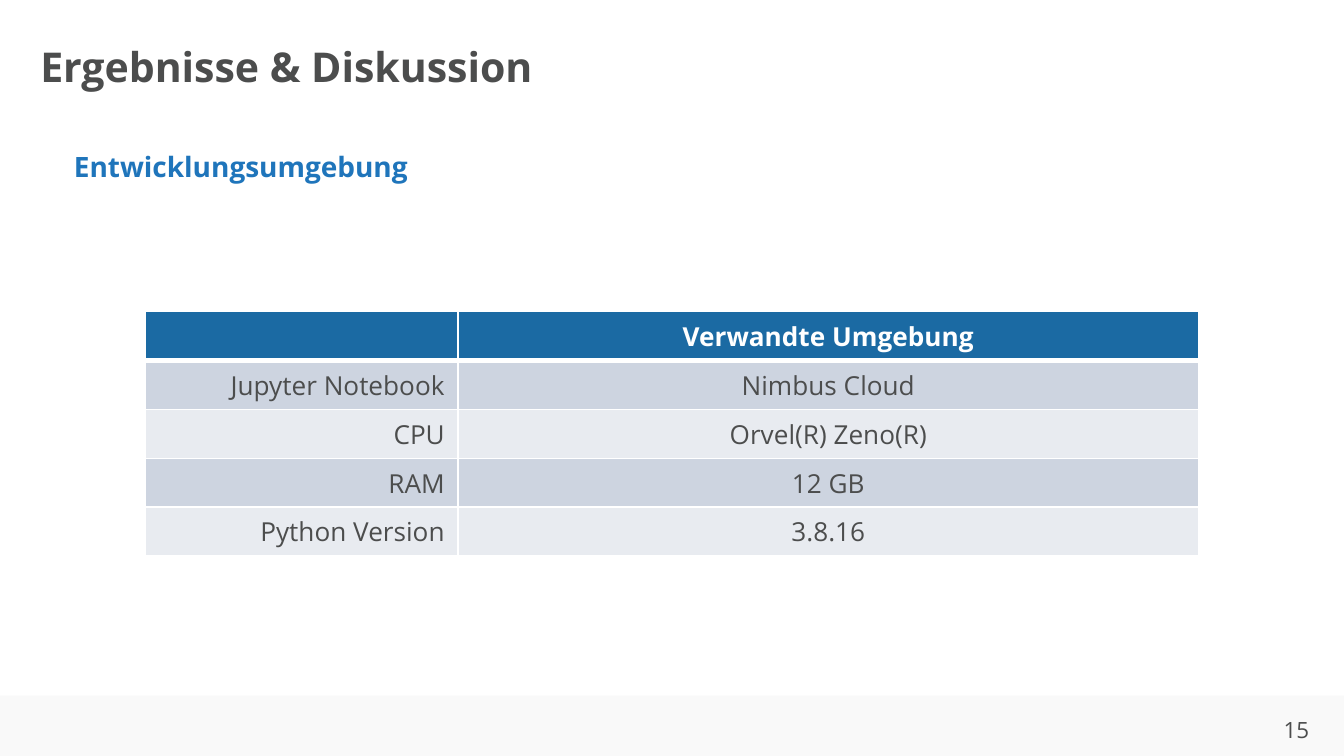
from dataclasses import dataclass

from lxml.etree import SubElement
from pptx import Presentation
from pptx.dml.color import RGBColor
from pptx.enum.shapes import MSO_SHAPE
from pptx.enum.text import MSO_ANCHOR, PP_ALIGN
from pptx.oxml.ns import qn
from pptx.util import Pt

FONT = "Open Sans"
GREY, BLUE, WHITE = "4C4D4D", "1F75BB", "FFFFFF"
HEADER_FILL, BAND_FILLS = "1B6AA3", ("CDD4E0", "E8EBF0")
COLUMN_WIDTHS = (167.5, 396.5)
COLUMN_ALIGNS = (PP_ALIGN.RIGHT, PP_ALIGN.CENTER)
ROW_HEIGHT = 26.2
ROWS = (
    ("", "Verwandte Umgebung"),
    ("Jupyter Notebook", "Nimbus Cloud"),
    ("CPU", "Orvel(R) Zeno(R)"),
    ("RAM", "12 GB"),
    ("Python Version", "3.8.16"),
)


@dataclass
class Box:
    left: float
    top: float
    width: float
    height: float

    def lengths(self) -> tuple:
        return Pt(self.left), Pt(self.top), Pt(self.width), Pt(self.height)


@dataclass
class Style:
    size: float
    color: str = GREY
    bold: bool = False
    align: PP_ALIGN = PP_ALIGN.LEFT


def rgb(color: str) -> RGBColor:
    return RGBColor.from_string(color)


def write(frame, text: str, style: Style):
    """Fill a text frame with one formatted paragraph and return it."""
    frame.text = text
    para = frame.paragraphs[0]
    para.alignment = style.align
    for span in para.runs:
        span.font.name = FONT
        span.font.size = Pt(style.size)
        span.font.bold = style.bold
        span.font.color.rgb = rgb(style.color)
    return para


def add_text(page, box: Box, text: str, style: Style):
    shape = page.shapes.add_textbox(*box.lengths())
    shape.text_frame.word_wrap = True
    write(shape.text_frame, text, style)
    return shape.text_frame


def add_border(cell, side: str, width: float) -> None:
    line = SubElement(cell._tc.get_or_add_tcPr(), qn(f"a:ln{side}"), w=str(Pt(width)))
    fill = SubElement(line, qn("a:solidFill"))
    SubElement(fill, qn("a:srgbClr"), val=WHITE)


def format_cell(cell, text: str, row: int, column: int) -> None:
    header = row == 0
    align = PP_ALIGN.CENTER if header else COLUMN_ALIGNS[column]
    para = write(cell.text_frame, text, Style(14, WHITE if header else GREY, header, align))
    if not text:  # keeps the empty cell from stretching its row
        SubElement(para._p, qn("a:endParaRPr"), sz="1400")
    cell.vertical_anchor = MSO_ANCHOR.MIDDLE
    # A thick line parts the header from the body
    for side, width in (("L", 1), ("R", 1), ("T", 3 if row == 1 else 1), ("B", 3 if header else 1)):
        add_border(cell, side, width)
    cell.fill.solid()
    cell.fill.fore_color.rgb = rgb(HEADER_FILL if header else BAND_FILLS[(row - 1) % 2])


def add_environment_table(page, left: float, top: float) -> None:
    box = Box(left, top, sum(COLUMN_WIDTHS), ROW_HEIGHT * len(ROWS))
    table = page.shapes.add_table(len(ROWS), len(COLUMN_WIDTHS), *box.lengths()).table
    for column, width in zip(table.columns, COLUMN_WIDTHS):
        column.width = Pt(width)
    for row, texts in enumerate(ROWS):
        table.rows[row].height = Pt(ROW_HEIGHT)
        for column, text in enumerate(texts):
            format_cell(table.cell(row, column), text, row, column)


def main() -> None:
    deck = Presentation()
    deck.slide_width, deck.slide_height = Pt(720), Pt(405)
    page = deck.slides.add_slide(deck.slide_layouts[5])

    # Footer band and page number
    band = page.shapes.add_shape(MSO_SHAPE.RECTANGLE, *Box(0, 372.7, 720, 32.3).lengths())
    band.shadow.inherit = False
    band.fill.solid()
    band.fill.fore_color.rgb = rgb("F9F9F9")
    band.line.fill.background()
    add_text(page, Box(673.2, 380.2, 42.5, 21.8), "15", Style(12, align=PP_ALIGN.CENTER))

    # Title
    title = page.shapes.title
    title.left, title.top, title.width, title.height = Box(14.4, 20.2, 396, 33.8).lengths()
    para = write(title.text_frame, "Ergebnisse & Diskussion", Style(22, bold=True))
    para.line_spacing = 0.9
    title.text_frame.vertical_anchor = MSO_ANCHOR.MIDDLE

    # Environment table
    add_environment_table(page, 78, 167)

    # Section heading
    frame = add_text(page, Box(33.1, 72.7, 255, 130.3), "Entwicklungsumgebung", Style(15, BLUE, True))
    frame.margin_left = Pt(0)
    para = frame.paragraphs[0]
    para.line_spacing, para.space_before = Pt(22), Pt(7.5)
    para._p.get_or_add_pPr().set("marL", str(Pt(6.5)))

    deck.save("out.pptx")


if __name__ == "__main__":
    main()
